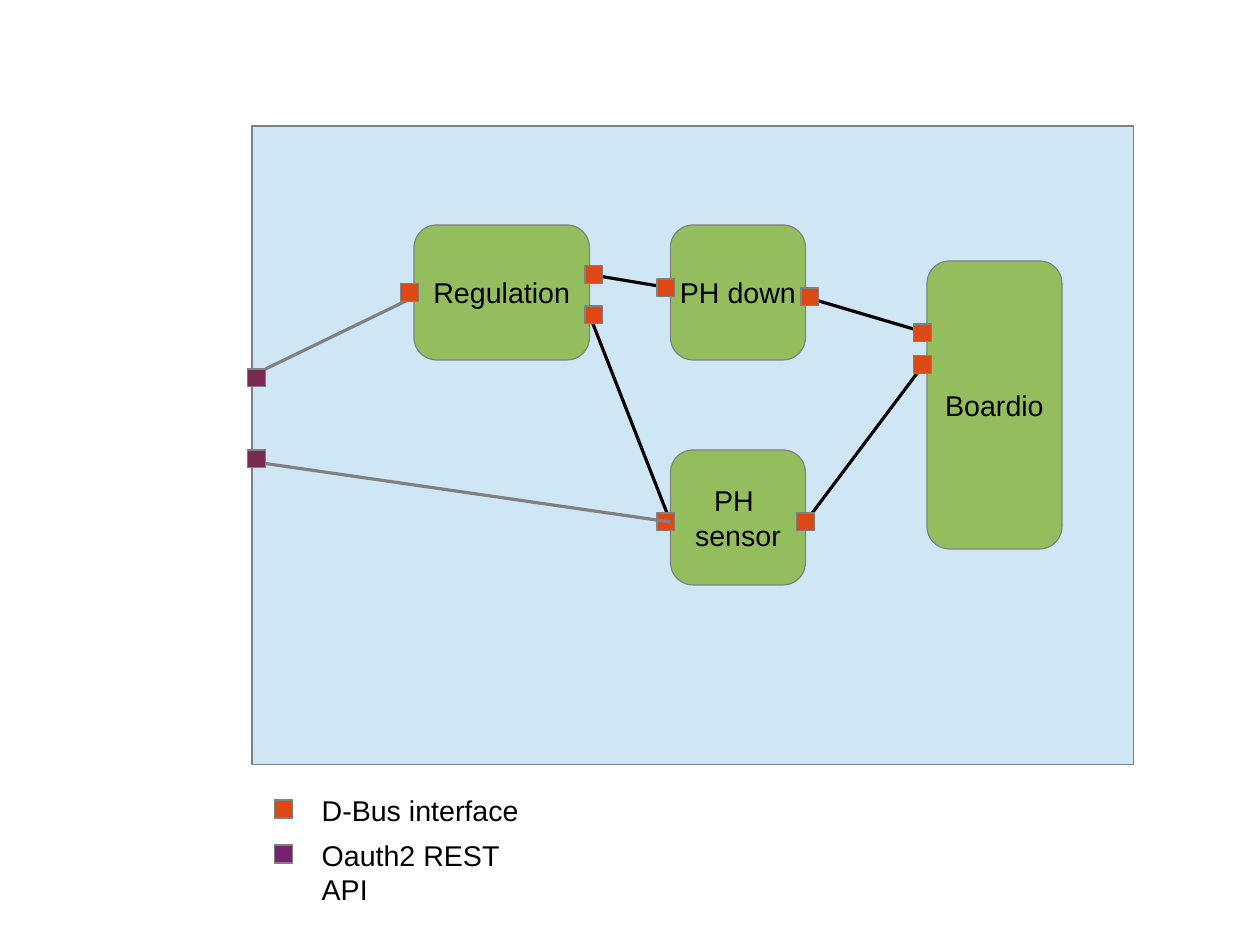
"""Draw the PH control architecture on a grid of 280 by 210 one-millimetre cells."""
from lxml import etree
from pptx import Presentation
from pptx import util as u
from pptx.dml.color import RGBColor
from pptx.enum import shapes, text
from pptx.oxml.ns import qn

RECT = shapes.MSO_SHAPE.RECTANGLE
ROUND = shapes.MSO_SHAPE.ROUNDED_RECTANGLE
GREY, BLACK, ORANGE, PLUM = "808080", "000000", "DD4814", "772953"
PORT = 4


def paint(fmt, color):
    fmt.solid()
    fmt.fore_color.rgb = RGBColor.from_string(color)


def write(sp, lines, align, anchor):
    tf = sp.text_frame
    tf.word_wrap = False
    tf.vertical_anchor = anchor
    for i, line in enumerate(lines):
        p = tf.add_paragraph() if i else tf.paragraphs[0]
        p.alignment = align
        r = p.add_run()
        r.text = line
        r.font.name = "Arial"
        r.font.size = u.Pt(18)
        paint(r.font.fill, BLACK)


prs = Presentation()
prs.slide_width, prs.slide_height = u.Mm(280), u.Mm(210)
s = prs.slides.add_slide(prs.slide_layouts[6])

system = [("box", RECT, "CFE7F5", 56, 28, 196, 142, [])]
blocks = [("box", ROUND, "94BD5E", *b) for b in [
    (149, 50, 30, 30, ["PH down"]),
    (149, 100, 30, 30, ["PH ", "sensor"]),
    (206, 58, 30, 64, ["Boardio"]),
    (92, 50, 39, 30, ["Regulation"]),
]]
bus_links = [("link", BLACK, *ends) for ends in [
    (131, 61, 149, 64), (179, 66, 206, 74), (179, 116, 206, 80), (131, 70, 149, 116)]]
ports = [("box", RECT, color, x, y, PORT, PORT, []) for color, x, y in [
    (ORANGE, 130, 59), (ORANGE, 130, 68), (ORANGE, 146, 62), (ORANGE, 146, 114),
    (ORANGE, 177, 114), (ORANGE, 178, 64), (ORANGE, 203, 72), (ORANGE, 203, 79),
    (PLUM, 55, 82), (PLUM, 55, 100)]]
api_links = [("link", GREY, 59, 82, 92, 66), ("link", GREY, 149, 116, 59, 103)]
api_port = [("box", RECT, ORANGE, 89, 63, PORT, PORT, [])]

for kind, *item in system + blocks + bus_links + ports + api_links + api_port:
    if kind == "link":
        color, *ends = item
        sp = s.shapes.add_connector(shapes.MSO_CONNECTOR.STRAIGHT, *map(u.Mm, ends))
        etree.SubElement(sp._element.spPr, qn("a:effectLst"))
    else:
        shape, fill, x, y, w, h, lines = item
        color = GREY
        sp = s.shapes.add_shape(shape, *map(u.Mm, (x, y, w, h)))
        sp.shadow.inherit = False
        paint(sp.fill, fill)
        if shape == ROUND:
            sp.adjustments[0] = 0.167
        if lines:
            write(sp, lines, text.PP_ALIGN.CENTER, text.MSO_ANCHOR.MIDDLE)
    paint(sp.line.fill, color)
    sp.line.width = u.Pt(0)

legend = [(ORANGE, "D-Bus interface", 49), ("77216F", "Oauth2 REST API", 56)]
for row, (color, label, width) in enumerate(legend):
    top = 175 + 10 * row
    sp = s.shapes.add_shape(RECT, u.Mm(61), u.Mm(top + 2.8), u.Mm(PORT), u.Mm(PORT))
    sp.shadow.inherit = False
    paint(sp.fill, color)
    paint(sp.line.fill, GREY)
    sp.line.width = u.Pt(0)
    sp = s.shapes.add_textbox(u.Mm(69), u.Mm(top), u.Mm(width), u.Mm(9.65))
    write(sp, [label], text.PP_ALIGN.LEFT, text.MSO_ANCHOR.TOP)
    sp.text_frame.auto_size = text.MSO_AUTO_SIZE.SHAPE_TO_FIT_TEXT

prs.save("out.pptx")
